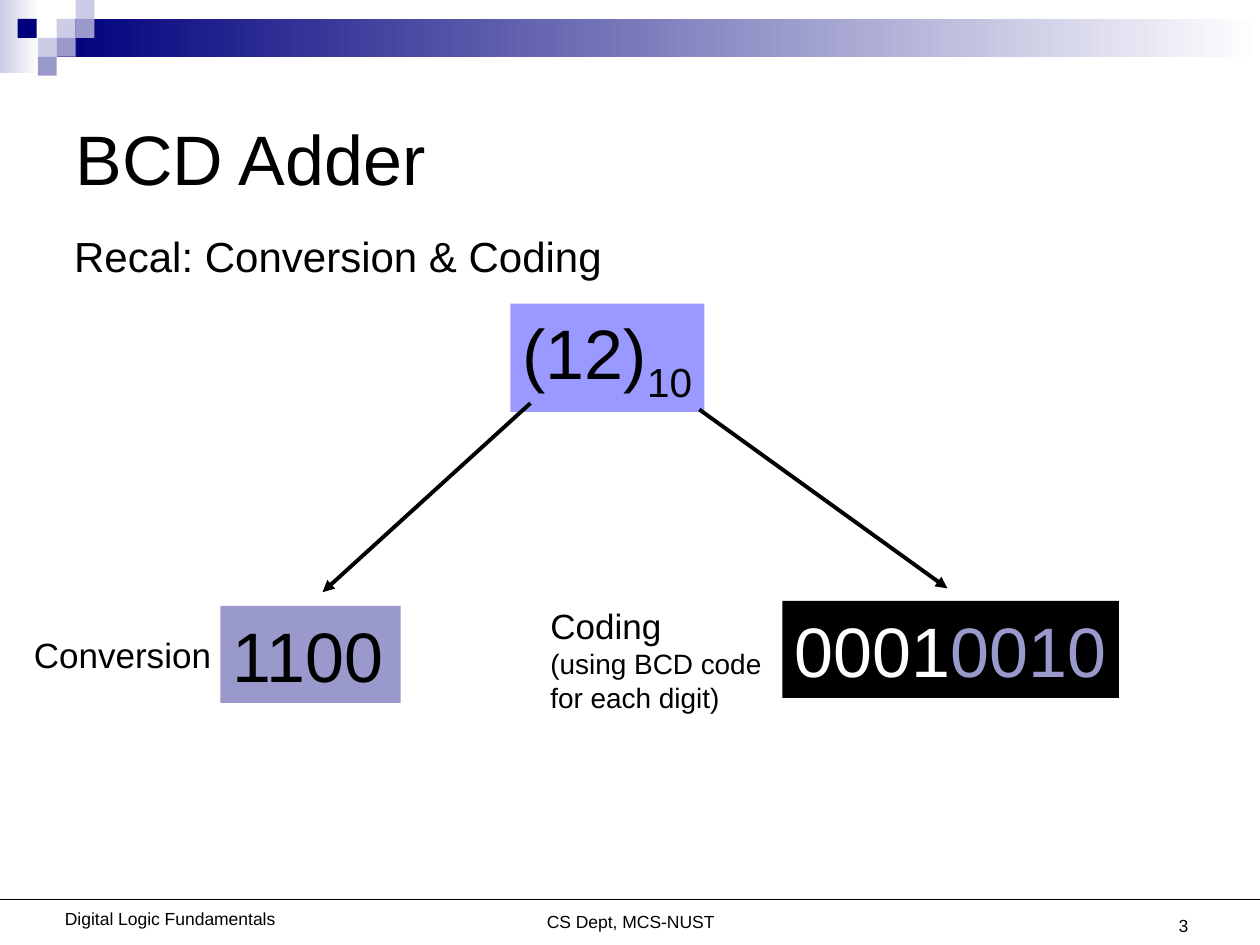
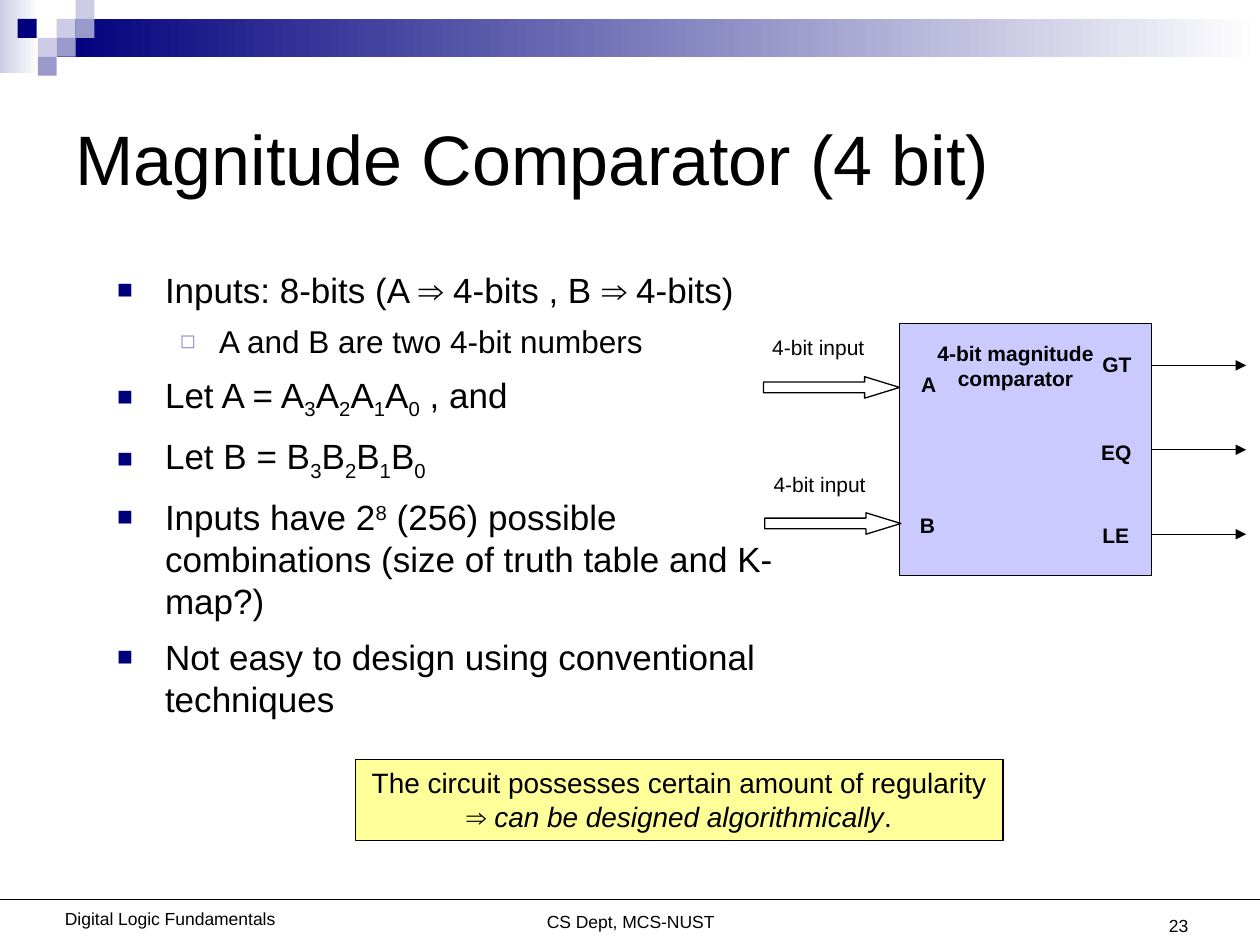
from dataclasses import dataclass

from pptx import Presentation
from pptx.dml.color import RGBColor as RGB
from pptx.enum.shapes import MSO_CONNECTOR as CONN, MSO_SHAPE as SHAPE
from pptx.enum.text import MSO_ANCHOR as ANCHOR, MSO_AUTO_SIZE as FIT, PP_ALIGN as ALIGN
from pptx.oxml import parse_xml
from pptx.oxml.ns import nsdecls, qn
from pptx.util import Inches, Pt


@dataclass(frozen=True)
class Theme:
    font: str = "Arial"
    black: str = "000000"
    white: str = "FFFFFF"
    navy: str = "00007D"
    slate: str = "9999CC"
    pale: str = "CCCCE6"
    violet: str = "9999FF"
    block: str = "CACAFF"
    yellow: str = "FFFF99"
    title: int = 40
    lead: int = 24
    body: int = 20
    sub: int = 18
    note: int = 16
    label: int = 12
    footer: int = 10
    thin: float = 0.75
    thick: float = 2.25


T = Theme()
SUB, SUP = {"base": -25}, {"base": 30}


# ---- Text ----
def add_run(p, text, size=T.body, color=T.black, bold=False, italic=False, base=0):
    r = p.add_run()
    r.text = text
    f = r.font
    f.name, f.size, f.bold, f.italic = T.font, Pt(size), bold, italic
    f.color.rgb = RGB.from_string(color)
    if base:
        r._r.get_or_add_rPr().set("baseline", str(base * 1000))


def write(p, content, align=ALIGN.LEFT, **fmt):
    """Fill a paragraph from a string or a list of strings and (text, format) pairs."""
    p.alignment = align
    for part in [content] if isinstance(content, str) else content:
        text, extra = (part, {}) if isinstance(part, str) else part
        add_run(p, text, **{**fmt, **extra})


def fill_text(sp, lines, anchor=ANCHOR.TOP, align=ALIGN.LEFT, **fmt):
    tf = sp.text_frame
    tf.word_wrap, tf.auto_size, tf.vertical_anchor = True, FIT.NONE, anchor
    # Slim side margins leave tight boxes room for their longest line
    tf.margin_left = Inches(0.05 if align == ALIGN.CENTER else 0.1)
    tf.margin_right = Inches(0.1 if align == ALIGN.RIGHT else 0.05)
    for i, line in enumerate(lines):
        write(tf.add_paragraph() if i else tf.paragraphs[0], line, align=align, **fmt)


def add_text(s, box, *lines, **fmt):
    fill_text(s.shapes.add_textbox(*map(Inches, box)), lines, **fmt)


def add_label(s, box, *lines, bold=True):
    add_text(s, box, *lines, size=T.label, bold=bold, align=ALIGN.CENTER)


def place(sp, box):
    sp.left, sp.top, sp.width, sp.height = map(Inches, box)


def set_bullet(p, char, color, percent, left, hang):
    pPr = p._p.get_or_add_pPr()
    pPr.set("marL", str(Inches(left)))
    pPr.set("indent", str(-Inches(hang)))
    for xml in (f'<a:buClr {{}}><a:srgbClr val="{color}"/></a:buClr>',
                f'<a:buSzPct {{}} val="{percent * 1000}"/>',
                f'<a:buFont {{}} typeface="{T.font}"/>',
                f'<a:buChar {{}} char="{char}"/>'):
        pPr.append(parse_xml(xml.format(nsdecls("a"))))


def fill_bullets(sp, items):
    tf = sp.text_frame
    tf.auto_size = FIT.NONE
    for i, (level, content) in enumerate(items):
        p = tf.add_paragraph() if i else tf.paragraphs[0]
        p.level = level
        if level:
            set_bullet(p, "◻", T.slate, 80, 0.81, 0.31)
        else:
            set_bullet(p, "■", T.navy, 75, 0.38, 0.38)
        p.space_before = Pt((6.5 if level else 7.7) if i else 0)
        write(p, content, size=T.sub if level else T.body)


# ---- Shapes and lines ----
def add_box(s, box, fill=None, outline=False, kind=SHAPE.RECTANGLE):
    sp = s.shapes.add_shape(kind, *map(Inches, box))
    sp.shadow.inherit = False
    if fill:
        sp.fill.solid()
        sp.fill.fore_color.rgb = RGB.from_string(fill)
    else:
        sp.fill.background()
    if outline:
        sp.line.color.rgb = RGB.from_string(T.black)
        sp.line.width = Pt(T.thin)
    else:
        sp.line.fill.background()
    return sp


def add_fade(s, box, color):
    fill = add_box(s, box).fill
    fill.gradient()
    fill.gradient_angle = 0
    for stop, position, shade in zip(fill.gradient_stops, (0, 1), (color, T.white)):
        stop.position = position
        stop.color.rgb = RGB.from_string(shade)


def add_line(s, start, end, width=T.thin, arrow=True):
    c = s.shapes.add_connector(CONN.STRAIGHT, *map(Inches, (*start, *end)))
    c.line.color.rgb = RGB.from_string(T.black)
    c.line.width = Pt(width)
    spPr = c.element.spPr
    if arrow:
        spPr.find(qn("a:ln")).append(parse_xml(f'<a:tailEnd {nsdecls("a")} type="triangle"/>'))
    spPr.append(parse_xml(f'<a:effectLst {nsdecls("a")}/>'))


# ---- Shared frame: band, squares, footers, title ----
def add_frame(prs, layout, title, number):
    s = prs.slides.add_slide(prs.slide_layouts[layout])
    add_fade(s, (0, 0, 0.31, 0.58), T.pale)
    add_fade(s, (0.45, 0.15, 9.55, 0.3), T.navy)
    side = 0.15
    for x, y, color in ((0.45, 0.15, T.pale), (0.6, 0, T.pale), (0.6, 0.15, T.slate),
                        (0.3, 0.3, T.pale), (0.14, 0.15, T.navy),
                        (0.45, 0.3, T.slate), (0.3, 0.45, T.slate)):
        add_box(s, (x, y, side, side), color)

    add_text(s, (2.92, 7.18, 4.17, 0.26), "CS Dept, MCS-NUST",
             size=T.footer, align=ALIGN.CENTER)
    add_text(s, (0.35, 7.16, 2, 0.26), "Digital Logic Fundamentals",
             size=T.footer, align=ALIGN.CENTER)
    add_text(s, (7.2, 6.98, 2.33, 0.5), number,
             size=T.footer, align=ALIGN.RIGHT, anchor=ANCHOR.BOTTOM)
    add_line(s, (0, 7.14), (10, 7.14), arrow=False)

    place(s.shapes.title, (0.5, 0.5, 9, 1.5))
    fill_text(s.shapes.title, [title], anchor=ANCHOR.MIDDLE, size=T.title)
    return s


# ---- Slides ----
def add_bcd_slide(prs):
    s = add_frame(prs, 5, "BCD Adder", "3")
    add_text(s, (0.49, 1.78, 4.39, 0.5), "Recal: Conversion & Coding", size=T.lead)

    # Decimal number and its two binary forms
    for box, fill, content in (
            ((4.05, 2.41, 1.54, 0.86), T.violet, ["(12)", ("10", SUB)]),
            ((1.75, 4.81, 1.43, 0.77), T.slate, "1100"),
            ((6.21, 4.77, 2.67, 0.77), T.black,
             [("0001", {"color": T.white}), ("0010", {"color": T.slate})])):
        fill_text(add_box(s, box, fill), [content], size=T.title)
    add_line(s, (4.21, 3.2), (2.56, 4.7), T.thick)
    add_line(s, (5.55, 3.25), (7.52, 4.67), T.thick)

    add_text(s, (0.17, 4.98, 1.61, 0.44), "Conversion")
    small = {"size": T.note}
    add_text(s, (4.27, 4.75, 1.93, 0.97), "Coding",
             [("(using BCD code", small)], [("for each digit)", small)])


def indexed_bits(name):
    return [part for i in (3, 2, 1, 0) for part in (name, (str(i), SUB))]


def add_comparator_slide(prs):
    s = add_frame(prs, 1, "Magnitude Comparator (4 bit)", "23")
    body = s.placeholders[1]
    place(body, (0.83, 2.08, 5.58, 4.41))
    fill_bullets(body, [
        (0, "Inputs: 8-bits (A ⇒ 4-bits , B ⇒ 4-bits)"),
        (1, "A and B are two 4-bit numbers"),
        (0, ["Let A = ", *indexed_bits("A"), " , and"]),
        (0, ["Let B = ", *indexed_bits("B")]),
        (0, ["Inputs have 2", ("8", SUP),
             " (256) possible combinations (size of truth table and K-map?)"]),
        (0, "Not easy to design using conventional techniques"),
    ])

    # Conclusion
    fill_text(add_box(s, (2.82, 6.03, 5.14, 0.64), T.yellow, outline=True),
              ["The circuit possesses certain amount of regularity",
               ["⇒ ", ("can be designed algorithmically", {"italic": True}), "."]],
              size=T.note, align=ALIGN.CENTER)

    # Comparator block with its inputs and outputs
    add_box(s, (7.14, 2.57, 2, 2), T.block, outline=True)
    for x, y in ((6.06, 2.99), (6.07, 4.07)):
        arrow = add_box(s, (x, y, 1.08, 0.17), outline=True, kind=SHAPE.RIGHT_ARROW)
        arrow.adjustments[1] = 1.63
        add_label(s, (x - 0.03, y - 0.38, 0.93, 0.3), "4-bit input", bold=False)
    for i, (name, x, y, width) in enumerate((("GT", 8.65, 2.74, 0.43),
                                             ("EQ", 8.64, 3.44, 0.44),
                                             ("LE", 8.65, 4.1, 0.41))):
        line_y = 2.9 + 0.67 * i
        add_line(s, (9.14, line_y), (9.89, line_y))
        add_label(s, (x, y, width, 0.3), name)
    add_label(s, (7.34, 2.65, 1.44, 0.5), "4-bit magnitude", "comparator")
    add_label(s, (7.21, 2.9, 0.32, 0.3), "A")
    add_label(s, (7.2, 4.02, 0.32, 0.3), "B")


def main():
    prs = Presentation()
    prs.slide_width, prs.slide_height = Inches(10), Inches(7.5)
    add_bcd_slide(prs)
    add_comparator_slide(prs)
    prs.save("out.pptx")


if __name__ == "__main__":
    main()
